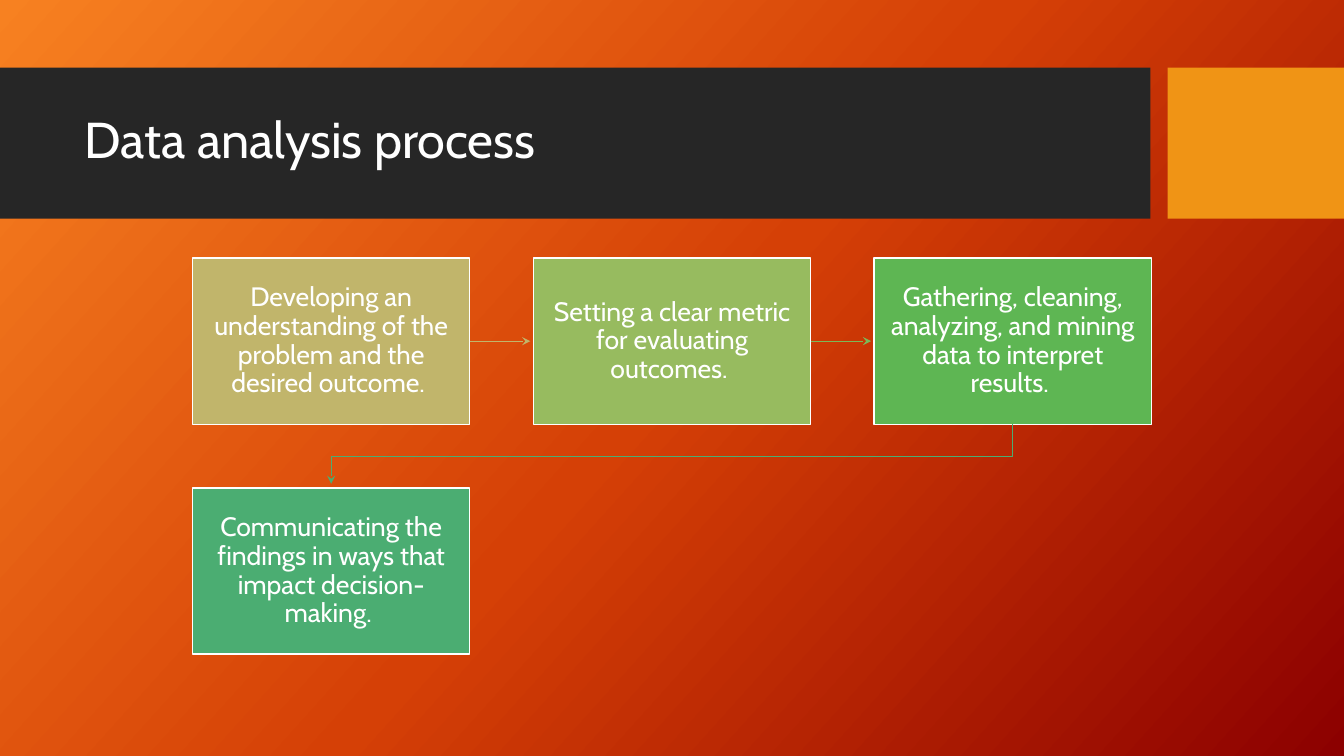
from copy import deepcopy
from dataclasses import dataclass

from lxml.etree import SubElement
from pptx import Presentation
from pptx.dml.color import RGBColor
from pptx.enum.shapes import MSO_CONNECTOR, MSO_SHAPE
from pptx.enum.text import MSO_ANCHOR, PP_ALIGN
from pptx.oxml.ns import qn
from pptx.util import Inches, Pt

FONT = "Cabin"
WHITE = RGBColor(0xFF, 0xFF, 0xFF)
DARK = RGBColor(0x26, 0x26, 0x26)
AMBER = RGBColor(0xF0, 0x94, 0x15)
SAND = RGBColor(0xC1, 0xB5, 0x6B)
OLIVE = RGBColor(0x97, 0xBB, 0x5F)
LEAF = RGBColor(0x7C, 0xB8, 0x59)
GREEN = RGBColor(0x5E, 0xB6, 0x53)
JADE = RGBColor(0x4B, 0xAD, 0x72)
GLOW = (RGBColor(0xF7, 0x81, 0x21), RGBColor(0xD5, 0x40, 0x06),
        RGBColor(0x8C, 0x00, 0x00))

LEFT, TOP = 1.91, 2.56
WIDTH, HEIGHT = 2.75, 1.65
STEP_X, STEP_Y = 3.38, 2.28
COLS = 3
REACH = 0.6  # length of a straight arrow


@dataclass
class Step:
    text: str
    fill: RGBColor
    arrow: RGBColor | None = None


STEPS = [
    Step("Developing an understanding of the problem and the desired outcome. ",
         SAND, SAND),
    Step("Setting a clear metric for evaluating outcomes. ", OLIVE, LEAF),
    Step("Gathering, cleaning, analyzing, and mining data to interpret results. ",
         GREEN, JADE),
    Step("Communicating the findings in ways that impact decision-making. ", JADE),
]


def paint(slide) -> None:
    """Fill the background with the three-colour gradient."""
    fill = slide.background.fill
    fill.gradient()
    fill.gradient_angle = 360 - 42
    first = next(slide.element.iter(qn("a:gs")))
    first.addnext(deepcopy(first))
    for i, (stop, color) in enumerate(zip(fill.gradient_stops, GLOW)):
        stop.position = i / 2
        stop.color.rgb = color


def write(shape, text: str, *, size: float, align=PP_ALIGN.LEFT,
          pad_x: float = 0.1, pad_y: float = 0.05) -> None:
    frame = shape.text_frame
    frame.word_wrap = True
    frame.vertical_anchor = MSO_ANCHOR.MIDDLE
    frame.margin_left = frame.margin_right = Inches(pad_x)
    frame.margin_top = frame.margin_bottom = Inches(pad_y)
    para = frame.paragraphs[0]
    para.alignment = align
    para.line_spacing = 0.9
    run = para.add_run()
    run.text = text
    run.font.name = FONT
    run.font.size = Pt(size)
    run.font.color.rgb = WHITE


def block(slide, x: float, y: float, w: float, h: float, fill: RGBColor,
          line: RGBColor | None = None):
    """Add a plain rectangle, outlined if a line colour is given."""
    shape = slide.shapes.add_shape(
        MSO_SHAPE.RECTANGLE, Inches(x), Inches(y), Inches(w), Inches(h))
    shape.shadow.inherit = False
    shape.fill.solid()
    shape.fill.fore_color.rgb = fill
    if line is None:
        shape.line.fill.background()
    else:
        shape.line.color.rgb = line
        shape.line.width = Pt(1)
    return shape


def style(arrow, color: RGBColor) -> None:
    """Colour an arrow, give it a head and drop its shadow."""
    arrow.line.color.rgb = color
    arrow.line.width = Pt(0.75)
    props = arrow.element.spPr
    SubElement(props.find(qn("a:ln")), qn("a:tailEnd"), type="stealth")
    if props.find(qn("a:effectLst")) is None:
        SubElement(props, qn("a:effectLst"))


def across(slide, box, x: float, y: float, color: RGBColor) -> None:
    """Point from a box to its right neighbour."""
    arrow = slide.shapes.add_connector(
        MSO_CONNECTOR.STRAIGHT, Inches(x), Inches(y), Inches(x + REACH), Inches(y))
    arrow.begin_connect(box, 3)
    style(arrow, color)


def wrap(slide, x: float, y: float, color: RGBColor) -> None:
    """Lead from under the last box of a row to the start of the next row."""
    start = LEFT + WIDTH / 2
    turn = y + (STEP_Y - HEIGHT) / 2
    pen = slide.shapes.build_freeform(Inches(x), Inches(y))
    pen.add_line_segments(
        [(Inches(px), Inches(py)) for px, py in
         ((x, turn), (start, turn), (start, y + 0.59))], close=False)
    arrow = pen.convert_to_shape()
    arrow.shadow.inherit = False
    arrow.fill.background()
    style(arrow, color)


def main() -> None:
    deck = Presentation()
    deck.slide_width, deck.slide_height = Inches(13.33), Inches(7.5)
    slide = deck.slides.add_slide(deck.slide_layouts[6])
    paint(slide)
    block(slide, 0, 0.67, 11.41, 1.5, DARK)
    block(slide, 11.58, 0.67, 1.75, 1.5, AMBER)
    title = slide.shapes.add_textbox(
        Inches(0.74), Inches(0.82), Inches(10.51), Inches(1.18))
    write(title, "Data analysis process", size=36)

    for i, step in enumerate(STEPS):
        row, col = divmod(i, COLS)
        x, y = LEFT + col * STEP_X, TOP + row * STEP_Y
        box = block(slide, x, y, WIDTH, HEIGHT, step.fill, WHITE)
        write(box, step.text, size=19, align=PP_ALIGN.CENTER,
              pad_x=0.13, pad_y=0.14)
        if step.arrow is None:
            continue
        if col < COLS - 1:
            across(slide, box, x + WIDTH, y + HEIGHT / 2, step.arrow)
        else:
            wrap(slide, x + WIDTH / 2, y + HEIGHT, step.arrow)
    deck.save("out.pptx")


if __name__ == "__main__":
    main()
